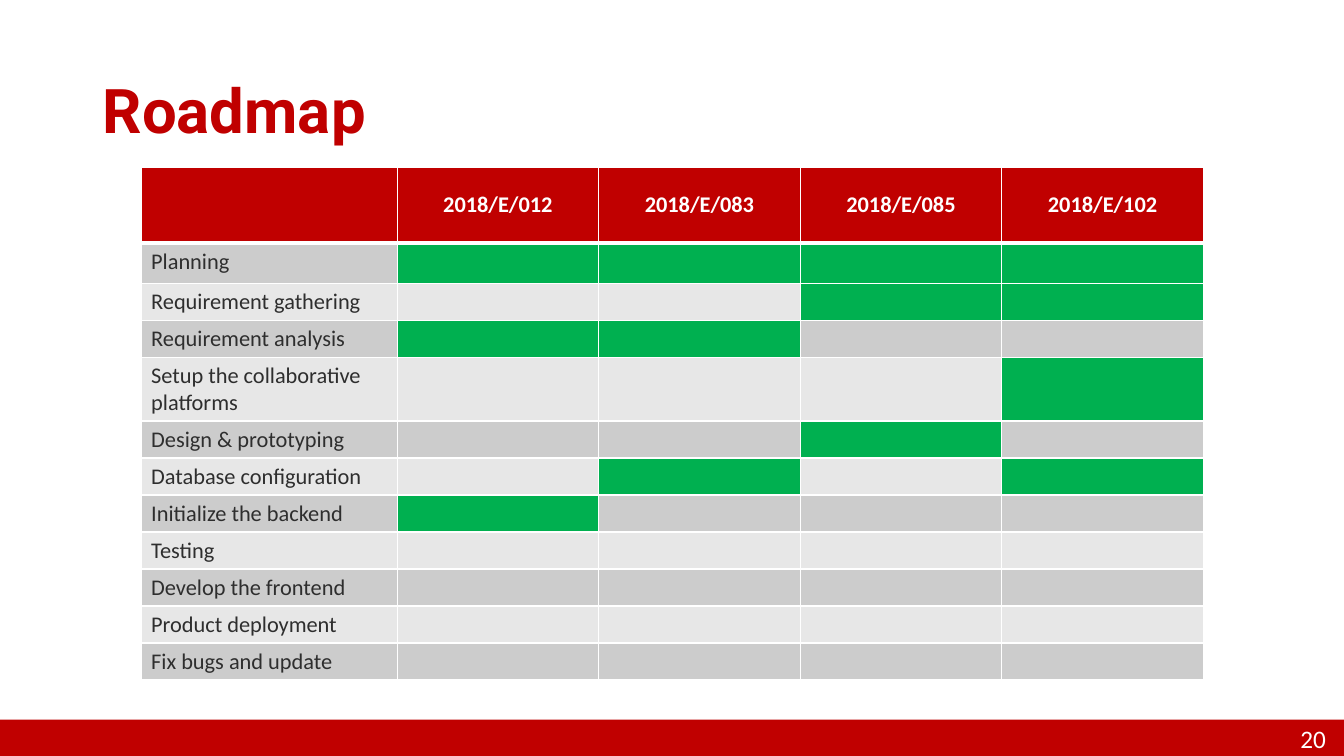
from dataclasses import dataclass

import lxml.etree
import pptx
import pptx.dml.color
import pptx.enum.shapes
import pptx.enum.text
import pptx.oxml.ns
import pptx.slide
import pptx.table
import pptx.text.text
import pptx.util

Align = pptx.enum.text.PP_ALIGN
Anchor = pptx.enum.text.MSO_ANCHOR
qualified = pptx.oxml.ns.qn


@dataclass(frozen=True)
class Theme:
    red: str = "C00000"
    green: str = "00B050"
    white: str = "FFFFFF"
    ink: str = "2E2E2E"
    bands: tuple[str, str] = ("CCCCCC", "E7E7E7")
    title_font: str = "Roboto"
    body_font: str = "Calibri"
    title_size: int = 44
    number_size: int = 18
    table_size: int = 16
    thin_line: int = 1
    header_line: int = 3


@dataclass(frozen=True)
class Area:
    """Left, top, width and height as percentages of the slide."""

    left: float
    top: float
    width: float
    height: float


@dataclass(frozen=True)
class Task:
    name: str
    members: tuple[int, ...] = ()
    height: float = 4.53


THEME = Theme()
SLIDE_WIDTH = pptx.util.Inches(13.33)
SLIDE_HEIGHT = pptx.util.Inches(7.5)

TITLE_AREA = Area(6.9, 5.33, 86.25, 19.33)
TABLE_AREA = Area(10.5, 22.13, 79.05, 67.73)
FOOTER_AREA = Area(0, 95.2, 100, 4.87)
NUMBER_AREA = Area(95.35, 95.07, 4.05, 5.33)
TASK_COLUMN = 19.05
MEMBER_COLUMN = 15
HEADER_ROW = 10

MEMBERS = ("2018/E/012", "2018/E/083", "2018/E/085", "2018/E/102")
TASKS = (
    Task("Planning", (1, 2, 3, 4), 5.33),
    Task("Requirement gathering", (3, 4)),
    Task("Requirement analysis", (1, 2)),
    Task("Setup the collaborative platforms", (4,), 8.33),
    Task("Design & prototyping", (3,)),
    Task("Database configuration", (2, 4)),
    Task("Initialize the backend", (1,)),
    Task("Testing"),
    Task("Develop the frontend"),
    Task("Product deployment"),
    Task("Fix bugs and update"),
)


def across(percent: float) -> int:
    return round(SLIDE_WIDTH * percent / 100)


def down(percent: float) -> int:
    return round(SLIDE_HEIGHT * percent / 100)


def place(area: Area) -> tuple[int, int, int, int]:
    return across(area.left), down(area.top), across(area.width), down(area.height)


def color(value: str) -> pptx.dml.color.RGBColor:
    return pptx.dml.color.RGBColor.from_string(value)


def write(frame: pptx.text.text.TextFrame, words: str, size: int, ink: str,
          align: Align = Align.LEFT, bold: bool = False,
          font: str = THEME.body_font) -> None:
    para = frame.paragraphs[0]
    para.text = words
    para.alignment = align
    para.font.name = font
    para.font.size = pptx.util.Pt(size)
    para.font.bold = bold
    para.font.color.rgb = color(ink)


def add_title(page: pptx.slide.Slide) -> None:
    title = page.shapes.title
    title.left, title.top, title.width, title.height = place(TITLE_AREA)
    frame = title.text_frame
    frame.word_wrap = True
    frame.auto_size = pptx.enum.text.MSO_AUTO_SIZE.NONE
    frame.vertical_anchor = Anchor.MIDDLE
    write(frame, "Roadmap", THEME.title_size, THEME.red, bold=True, font=THEME.title_font)
    frame.paragraphs[0].line_spacing = 0.9


def add_footer(page: pptx.slide.Slide) -> None:
    bar = page.shapes.add_shape(
        pptx.enum.shapes.MSO_SHAPE.RECTANGLE, *place(FOOTER_AREA))
    bar.shadow.inherit = False
    bar.fill.solid()
    bar.fill.fore_color.rgb = color(THEME.red)
    bar.line.fill.background()
    number = page.shapes.add_textbox(*place(NUMBER_AREA)).text_frame
    number.word_wrap = True
    write(number, "20", THEME.number_size, THEME.white, Align.RIGHT)


def style_cell(cell: pptx.table._Cell, fill: str, top: int, bottom: int) -> None:
    properties = cell._tc.get_or_add_tcPr()
    widths = {"L": THEME.thin_line, "R": THEME.thin_line, "T": top, "B": bottom}
    for side, width in widths.items():
        line = lxml.etree.SubElement(
            properties, qualified(f"a:ln{side}"), w=str(pptx.util.Pt(width)))
        paint = lxml.etree.SubElement(line, qualified("a:solidFill"))
        lxml.etree.SubElement(paint, qualified("a:srgbClr"), val=THEME.white)
    cell.fill.solid()
    cell.fill.fore_color.rgb = color(fill)


def size_empty_cell(cell: pptx.table._Cell) -> None:
    para = cell.text_frame.paragraphs[0]
    lxml.etree.SubElement(
        para._p, qualified("a:endParaRPr"), sz=str(THEME.table_size * 100))


def add_header(table: pptx.table.Table) -> None:
    for column, member in enumerate(("", *MEMBERS)):
        cell = table.cell(0, column)
        style_cell(cell, THEME.red, THEME.thin_line, THEME.header_line)
        cell.vertical_anchor = Anchor.MIDDLE
        if member:
            write(cell.text_frame, member, THEME.table_size, THEME.white,
                  Align.CENTER, bold=True)


def add_task(table: pptx.table.Table, row: int, task: Task) -> None:
    band = THEME.bands[(row - 1) % 2]
    top = THEME.header_line if row == 1 else THEME.thin_line
    for column in range(len(MEMBERS) + 1):
        cell = table.cell(row, column)
        fill = THEME.green if column in task.members else band
        style_cell(cell, fill, top, THEME.thin_line)
        if column == 0:
            write(cell.text_frame, task.name, THEME.table_size, THEME.ink)
        else:
            size_empty_cell(cell)


def add_roadmap(page: pptx.slide.Slide) -> None:
    table = page.shapes.add_table(
        len(TASKS) + 1, len(MEMBERS) + 1, *place(TABLE_AREA)).table
    table.horz_banding = False
    for index, column in enumerate(table.columns):
        column.width = across(MEMBER_COLUMN if index else TASK_COLUMN)
    heights = (HEADER_ROW, *(task.height for task in TASKS))
    for row, height in zip(table.rows, heights):
        row.height = down(height)
    add_header(table)
    for row, task in enumerate(TASKS, start=1):
        add_task(table, row, task)


def main() -> None:
    deck = pptx.Presentation()
    deck.slide_width = SLIDE_WIDTH
    deck.slide_height = SLIDE_HEIGHT
    page = deck.slides.add_slide(deck.slide_layouts.get_by_name("Title Only"))
    add_footer(page)
    add_roadmap(page)
    add_title(page)
    deck.save("out.pptx")


if __name__ == "__main__":
    main()
